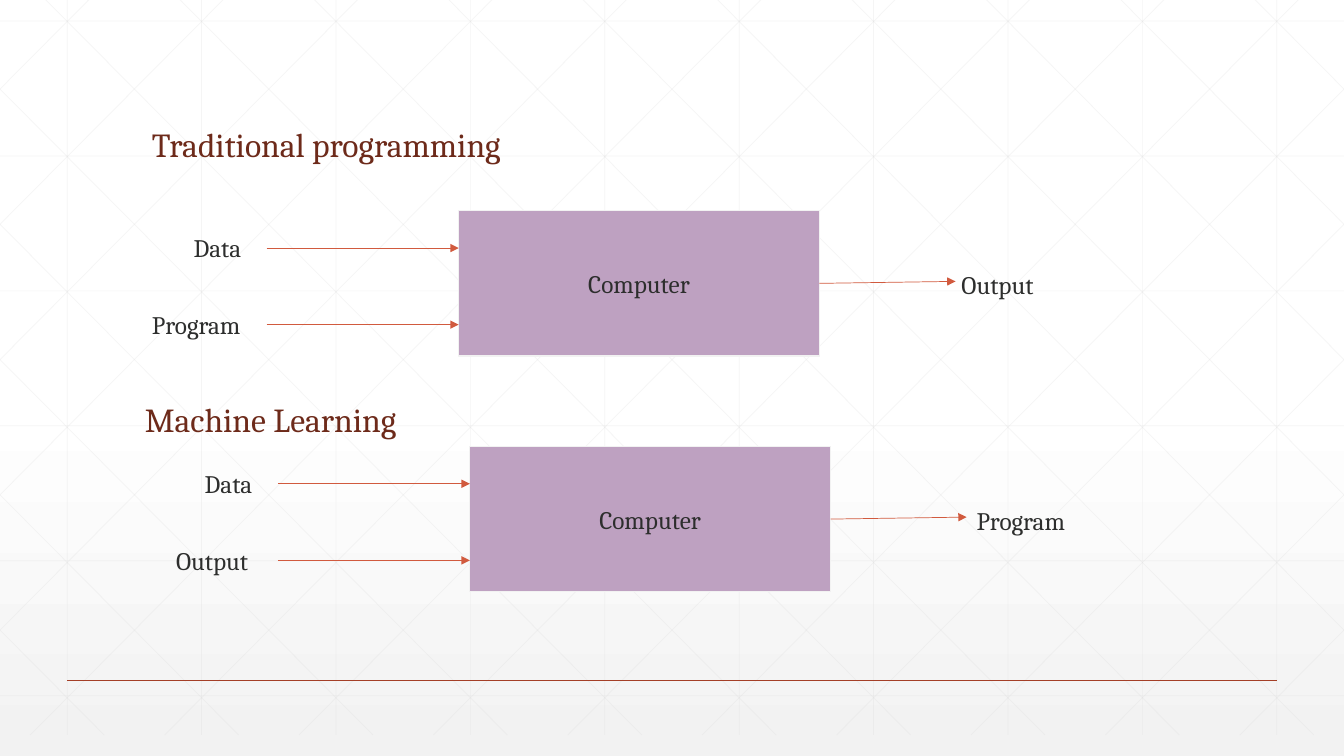
from lxml.etree import SubElement
from pptx import Presentation
from pptx.dml.color import RGBColor
from pptx.enum.shapes import MSO_CONNECTOR, MSO_SHAPE
from pptx.enum.text import MSO_ANCHOR, PP_ALIGN
from pptx.oxml.ns import qn
from pptx.util import Cm, Pt

WIDE, HIGH = 33.87, 19.05
INK, RUST, GRID = "2D2E2D", "D15A3E", "D9D9D9"
rgb = RGBColor.from_string

deck = Presentation()
deck.slide_width, deck.slide_height = Cm(WIDE), Cm(HIGH)
slide = deck.slides.add_slide(deck.slide_layouts[6])
shapes = slide.shapes

fill = slide.background.fill
fill.gradient()
fill.gradient_angle = 270
for stop, place, tone in zip(fill.gradient_stops, (0.53, 1), ("FFFFFF", "F2F2F2")):
    stop.position = place
    stop.color.rgb = rgb(tone)


def draw_line(x1, y1, x2, y2, color=GRID, width=0.5, alpha=None, arrow=False):
    line = shapes.add_connector(MSO_CONNECTOR.STRAIGHT, Cm(x1), Cm(y1), Cm(x2), Cm(y2))
    line.line.color.rgb = rgb(color)
    line.line.width = Pt(width)
    props = line._element.spPr
    if alpha:
        SubElement(props.find(".//" + qn("a:srgbClr")), qn("a:alpha"), val=str(alpha * 1000))
    if arrow:
        SubElement(line.line._get_or_add_ln(), qn("a:tailEnd"), type="triangle")
    SubElement(props, qn("a:effectLst"))


def add_text(text, x, y, width, height=1.03, size=18, color=INK):
    box = shapes.add_textbox(Cm(x), Cm(y), Cm(width), Cm(height))
    box.text_frame.word_wrap = True
    para = box.text_frame.paragraphs[0]
    para.text = text
    para.font.name, para.font.size = "Cambria", Pt(size)
    para.font.color.rgb = rgb(color)


# Background grid: verticals, horizontals, then diagonals cut at the slide sides
top, step, run = -0.53, WIDE / 10, 18.93
for col in range(10):
    x = (col + 0.5) * step
    draw_line(x, top, x, top + HIGH, alpha=25)
for row in range(6):
    y = 0.53 + row * 3.4
    draw_line(0, y, WIDE, y, alpha=25)
for index in range(-5, 10):
    start = 0.63 + index * step
    x1, x2 = max(start, 0), min(start + run, WIDE)
    y1, y2 = (top + (x - start) * HIGH / run for x in (x1, x2))
    draw_line(x1, y1, x2, y2, alpha=25)
    draw_line(WIDE - x1, y1, WIDE - x2, y2, alpha=25)

draw_line(1.69, 17.14, 32.17, 17.14, "A43F27", 1)

# Each diagram: heading, box corner, second input, result
diagrams = [
    (("Traditional programming", 3.58, 3.0, 24.94), 11.56, 5.31,
     ("Program", 3.58), ("Output", 23.98)),
    (("Machine Learning", 3.4, 9.93, 9.68), 11.84, 11.25,
     ("Output", 4.19), ("Program", 24.36)),
]
for heading, left, upper, (given, given_x), (result, result_x) in diagrams:
    add_text(*heading, height=1.28, size=24, color="6D2A1A")

    box = shapes.add_shape(MSO_SHAPE.RECTANGLE, Cm(left), Cm(upper), Cm(9.09), Cm(3.66))
    box.shadow.inherit = False
    box.fill.solid()
    box.fill.fore_color.rgb = rgb("BEA1C1")
    box.line.color.rgb = rgb("F2F2F2")
    box.line.width = Pt(1)
    box.text_frame.vertical_anchor = MSO_ANCHOR.MIDDLE
    para = box.text_frame.paragraphs[0]
    para.text = "Computer"
    para.alignment = PP_ALIGN.CENTER
    para.font.name, para.font.size = "Cambria", Pt(18)
    para.font.color.rgb = rgb(INK)

    for drop in (0.94, 2.87):
        draw_line(left - 4.84, upper + drop, left, upper + drop, RUST, arrow=True)
    right, mid = left + 9.09, upper + 1.83
    draw_line(right, mid, right + 3.43, mid - 0.05, RUST, arrow=True)

    add_text("Data", left - 6.93, upper + 0.42, 2.29)
    add_text(given, given_x, upper + 2.36, 3.12)
    add_text(result, result_x, upper + 1.36, 5.44)

deck.save("out.pptx")
